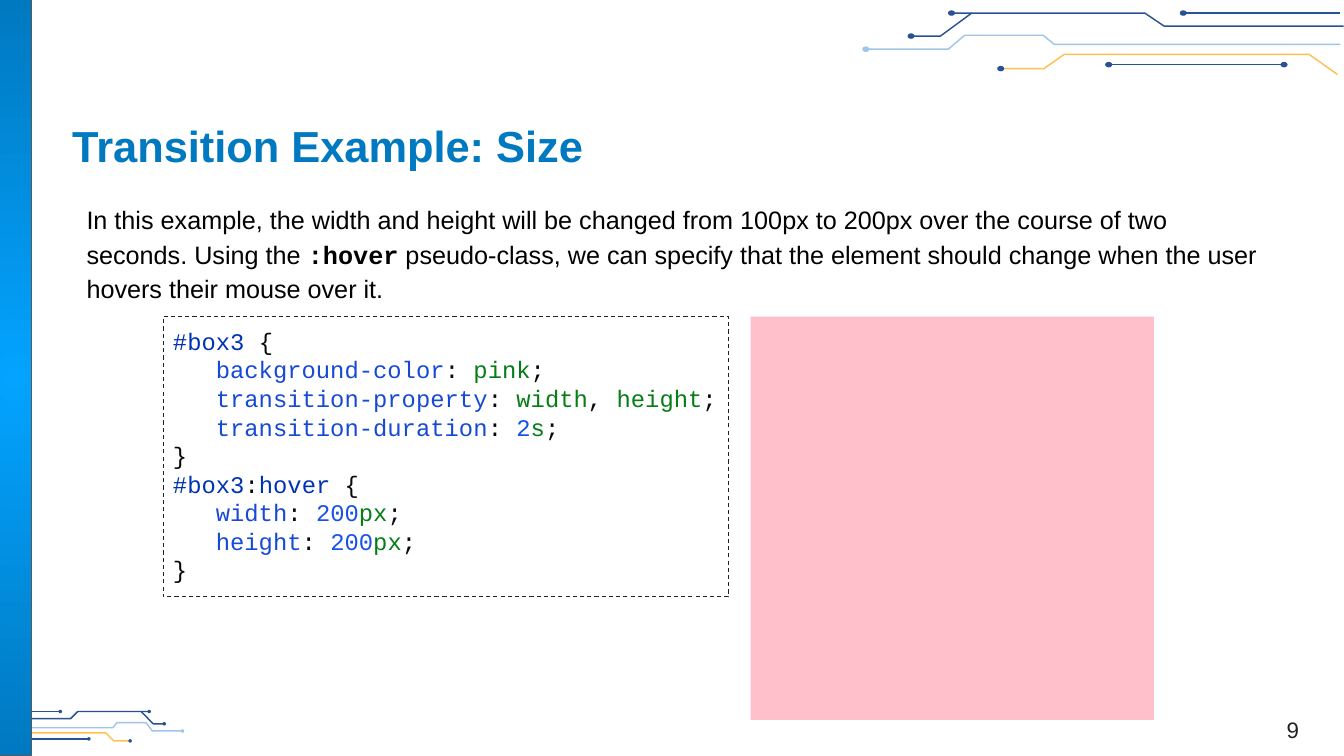
"""Build the "Transition Example: Size" slide with its code sample and pink box."""
from dataclasses import dataclass

from pptx import Presentation, util as u
from pptx.dml.color import RGBColor
from pptx.enum import dml, shapes, text
from pptx.oxml import parse_xml
from pptx.oxml.ns import nsdecls, qn


@dataclass(frozen=True)
class Theme:
    sans: str = "Arial"
    mono: str = "Courier New"
    title_size: int = 31
    body_size: int = 18
    code_size: int = 17
    number_size: int = 16
    blue: str = "0079C0"
    bright: str = "03A3FF"
    navy: str = "285293"
    sky: str = "9FC5E8"
    gold: str = "FEC14F"
    pink: str = "FFC0CB"
    black: str = "000000"
    number: str = "222222"
    bar_line: str = "595959"
    border: str = "212121"
    selector: str = "0033B3"
    prop: str = "174AD4"
    value: str = "067D17"
    digit: str = "1750EB"
    mark: str = "080808"


T = Theme()


def paint(sp, fill=None, line=None, width=0.75):
    """Set the fill and line of a shape and drop its shadow."""
    sp.shadow.inherit = False
    if fill:
        sp.fill.solid()
        sp.fill.fore_color.rgb = RGBColor.from_string(fill)
    else:
        sp.fill.background()
    if line:
        sp.line.color.rgb = RGBColor.from_string(line)
        sp.line.width = u.Pt(width)
    else:
        sp.line.fill.background()


def style(r, size, color, name=T.sans, bold=False):
    """Set the font of a run."""
    r.font.name, r.font.size, r.font.bold = name, u.Pt(size), bold
    r.font.color.rgb = RGBColor.from_string(color)


prs = Presentation()
prs.slide_width, prs.slide_height = u.Cm(33.87), u.Cm(19.05)
s = prs.slides.add_slide(prs.slide_layouts[1])

top_dot, bottom_dot = (0.15, 0.11), (0.06, 0.06)
traces = [
    (T.navy, T.navy, bottom_dot, [(0.1, 18.11), (1.78, 18.11), (1.96, 17.93), (3.76, 17.93)]),
    (T.navy, T.navy, bottom_dot, [(3.56, 17.93), (3.86, 18.24), (4.14, 18.24)]),
    (T.navy, T.navy, bottom_dot, [(0, 17.93), (1.52, 17.93)]),
    (T.gold, T.navy, bottom_dot,
     [(0.03, 18.75), (0.3, 18.47), (2.67, 18.47), (2.87, 18.67), (3.28, 18.67)]),
    (T.navy, T.navy, bottom_dot, [(0.53, 18.62), (2.24, 18.62)]),
    (T.sky, T.sky, bottom_dot,
     [(0.2, 18.34), (2.84, 18.34), (2.95, 18.21), (3.68, 18.21), (3.84, 18.42), (4.6, 18.42)]),
    (T.navy, T.navy, top_dot, [(33.86, 0.66), (29.34, 0.66), (28.85, 0.33), (23.98, 0.33)]),
    (T.navy, T.navy, top_dot, [(24.49, 0.33), (23.7, 0.91), (22.96, 0.91)]),
    (T.navy, T.navy, top_dot, [(33.78, 0.33), (29.82, 0.33)]),
    (T.gold, T.navy, top_dot,
     [(33.71, 1.88), (32.99, 1.37), (26.82, 1.37), (26.31, 1.73), (25.22, 1.73)]),
    (T.navy, T.navy, top_dot, [(30.15, 1.63), (32.36, 1.63)]),
    (T.navy, T.navy, top_dot, [(30.15, 1.63), (27.94, 1.63)]),
    (T.sky, T.sky, top_dot,
     [(33.78, 1.12), (26.57, 1.12), (26.29, 0.89), (24.31, 0.89), (23.9, 1.24), (21.82, 1.24)]),
]
for color, dot_color, (w, h), points in traces:
    corners = [(u.Cm(x), u.Cm(y)) for x, y in points]
    if len(corners) == 2:
        line = s.shapes.add_connector(shapes.MSO_CONNECTOR.STRAIGHT, *corners[0], *corners[1])
        line.line.color.rgb = RGBColor.from_string(color)
        line.line.width = u.Pt(1.03)
        line._element.spPr.append(parse_xml(f"<a:effectLst {nsdecls('a')}/>"))
    else:
        builder = s.shapes.build_freeform(*corners[0])
        builder.add_line_segments(corners[1:], close=False)
        paint(builder.convert_to_shape(), line=color, width=1.03)
    x, y = points[-1]
    dot = s.shapes.add_shape(shapes.MSO_SHAPE.OVAL,
                             u.Cm(x - w / 2), u.Cm(y - h / 2), u.Cm(w), u.Cm(h))
    paint(dot, dot_color, dot_color)

bar = s.shapes.add_shape(shapes.MSO_SHAPE.RECTANGLE, 0, 0, u.Cm(0.79), prs.slide_height)
paint(bar, T.blue, T.bar_line)
bar.fill.gradient()
for stop, color, position in zip(bar.fill.gradient_stops, (T.bright, T.blue), (0, 1)):
    stop.color.rgb = RGBColor.from_string(color)
    stop.position = position
grad = bar._element.spPr.find(qn("a:gradFill"))
grad.remove(grad.find(qn("a:lin")))
grad.append(parse_xml(
    f'<a:path {nsdecls("a")} path="circle">'
    '<a:fillToRect l="50000" t="50000" r="50000" b="50000"/></a:path>'))

box = s.shapes.add_shape(shapes.MSO_SHAPE.RECTANGLE,
                         u.Cm(18.92), u.Cm(7.98), u.Cm(10.16), u.Cm(10.16))
paint(box, T.pink)

title, body = s.placeholders
title.left, title.top, title.width, title.height = u.Cm(1.57), u.Cm(2.69), u.Cm(30.07), u.Cm(1.96)
body.left, body.top, body.width, body.height = u.Cm(1.93), u.Cm(4.78), u.Cm(30.33), u.Cm(3.2)
number = s.shapes.add_textbox(u.Cm(31.5), u.Cm(17.35), u.Cm(2.16), u.Cm(1.5))
code = s.shapes.add_shape(shapes.MSO_SHAPE.RECTANGLE,
                          u.Cm(4.11), u.Cm(7.98), u.Cm(14.25), u.Cm(7.06))
paint(code, line=T.border)
code.line.dash_style = dml.MSO_LINE.DASH

for sp, anchor, margin in [(title, text.MSO_ANCHOR.MIDDLE, 0.25), (body, text.MSO_ANCHOR.TOP, 0.25),
                           (number, text.MSO_ANCHOR.BOTTOM, 0.13), (code, text.MSO_ANCHOR.TOP, 0.25)]:
    tf = sp.text_frame
    tf.word_wrap, tf.auto_size, tf.vertical_anchor = True, text.MSO_AUTO_SIZE.NONE, anchor
    tf.margin_left = tf.margin_right = u.Cm(0.25)
    tf.margin_top = tf.margin_bottom = u.Cm(margin)

p = title.text_frame.paragraphs[0]
p.text = "Transition Example: Size"
p.alignment = text.PP_ALIGN.LEFT
style(p.runs[0], T.title_size, T.blue, bold=True)

p = number.text_frame.paragraphs[0]
p.text = "9"
p.alignment = text.PP_ALIGN.CENTER
style(p.runs[0], T.number_size, T.number)

p = body.text_frame.paragraphs[0]
p.line_spacing, p.space_before, p.space_after = 1.15, u.Pt(0), u.Pt(10)
pPr = p._p.get_or_add_pPr()
pPr.set("marL", "0")
pPr.set("indent", "0")
pPr.append(parse_xml(f"<a:buNone {nsdecls('a')}/>"))
for words, name, bold in [
    ("In this example, the width and height will be changed from 100px to 200px over the course "
     "of two seconds. Using the ", T.sans, False),
    (":hover", T.mono, True),
    (" pseudo-class, we can specify that the element should change when the user hovers their "
     "mouse over it.", T.sans, False),
]:
    r = p.add_run()
    r.text = words
    style(r, T.body_size, T.black, name, bold)

colon, semicolon = (": ", T.mark), (";", T.mark)
size_value = [colon, ("200", T.digit), ("px", T.value), semicolon]
code_lines = [
    (0, [("#box3 ", T.selector), ("{", T.mark)]),
    (1, [("background-color", T.prop), colon, ("pink", T.value), semicolon]),
    (1, [("transition-property", T.prop), colon, ("width", T.value), (", ", T.mark),
         ("height", T.value), semicolon]),
    (1, [("transition-duration", T.prop), colon, ("2", T.digit), ("s", T.value), semicolon]),
    (0, [("}", T.mark)]),
    (0, [("#box3", T.selector), (":", T.mark), ("hover ", T.selector), ("{", T.mark)]),
    (1, [("width", T.prop), *size_value]),
    (1, [("height", T.prop), *size_value]),
    (0, [("}", T.mark)]),
]
tf = code.text_frame
for i, (depth, tokens) in enumerate(code_lines):
    p = tf.add_paragraph() if i else tf.paragraphs[0]
    p.alignment = text.PP_ALIGN.LEFT
    p._p.get_or_add_pPr().set("marL", str(u.Cm(1.08 * depth)))
    for token, color in tokens:
        r = p.add_run()
        r.text = token
        style(r, T.code_size, color, T.mono)

prs.save("out.pptx")
